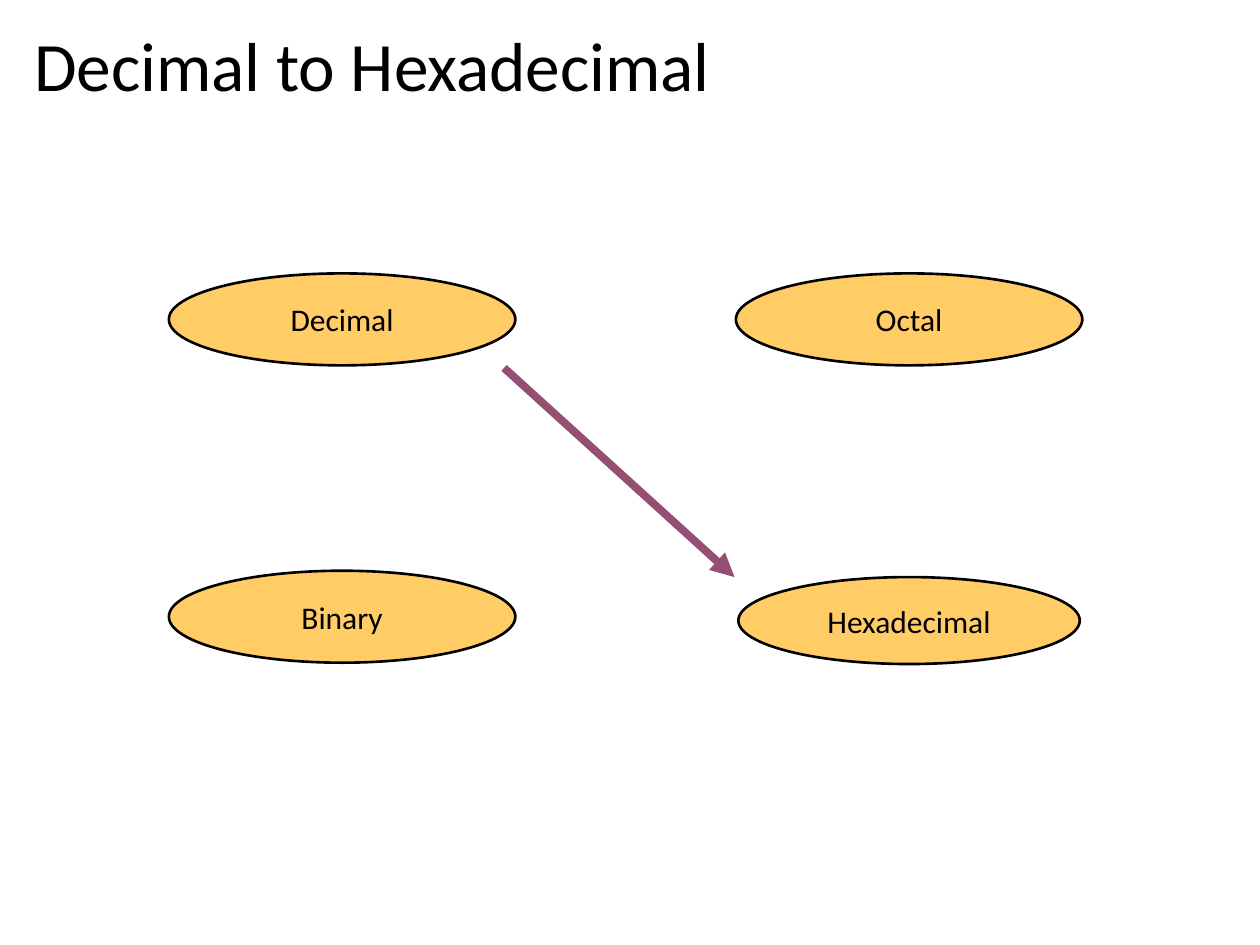
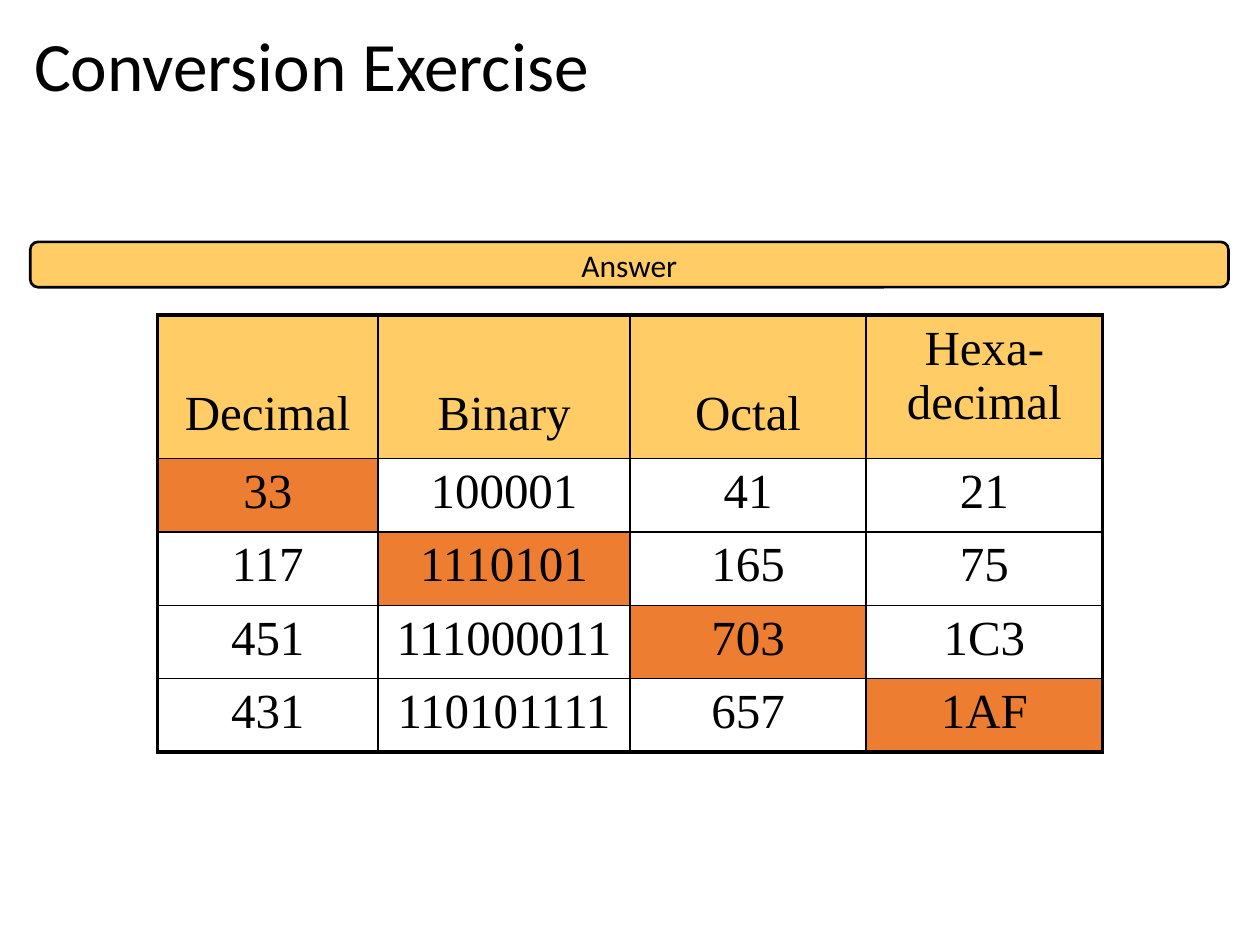
import pptx
import pptx.util
import pptx.dml.color
import pptx.enum.shapes
import pptx.enum.text
import pptx.oxml.ns
import lxml.etree

Inches = pptx.util.Inches
Pt = pptx.util.Pt
SHAPE = pptx.enum.shapes.MSO_SHAPE
ALIGN = pptx.enum.text.PP_ALIGN
ANCHOR = pptx.enum.text.MSO_ANCHOR
COLORS = {"ink": "000000", "gold": "FFCC66", "mark": "ED7D31", "arrow": "954F72"}
TITLE = (0.17, 0.18, 9.62, 0.74)
ROWS = [
    ["Decimal", "Binary", "Octal", "Hexa-\vdecimal"],
    ["33", "100001", "41", "21"],
    ["117", "1110101", "165", "75"],
    ["451", "111000011", "703", "1C3"],
    ["431", "110101111", "657", "1AF"],
]


def color(name):
    """Return the named colour."""
    return pptx.dml.color.RGBColor.from_string(COLORS[name])


def node(parent, tag, **attrs):
    """Append a DrawingML element."""
    return lxml.etree.SubElement(parent, pptx.oxml.ns.qn(tag), **attrs)


def style(para, size, face="Calibri", align=ALIGN.CENTER):
    """Set the font and alignment of a paragraph."""
    para.alignment = align
    para.font.size = Pt(size)
    para.font.name = face
    para.font.color.rgb = color("ink")


def start(deck, text):
    """Add a slide with a title."""
    slide = deck.slides.add_slide(deck.slide_layouts[5])
    title = slide.shapes.title
    title.left, title.top, title.width, title.height = map(Inches, TITLE)
    frame = title.text_frame
    frame.text = text
    frame.auto_size = pptx.enum.text.MSO_AUTO_SIZE.NONE
    frame.vertical_anchor = ANCHOR.MIDDLE
    para = frame.paragraphs[0]
    style(para, 39.6, align=ALIGN.LEFT)
    para.line_spacing = 0.9
    return slide


def label(slide, kind, box, text):
    """Add a gold outlined shape with centred text."""
    shape = slide.shapes.add_shape(kind, *map(Inches, box))
    shape.shadow.inherit = False
    shape.fill.solid()
    shape.fill.fore_color.rgb = color("gold")
    shape.line.color.rgb = color("ink")
    shape.line.width = Pt(1.5)
    frame = shape.text_frame
    frame.text = text
    frame.word_wrap = False
    frame.margin_top = frame.margin_bottom = 0
    frame.vertical_anchor = ANCHOR.MIDDLE
    style(frame.paragraphs[0], 18)
    return shape


def arrow(slide, tail, head):
    """Draw a thick arrow between two points."""
    line = slide.shapes.add_connector(
        pptx.enum.shapes.MSO_CONNECTOR.STRAIGHT, *map(Inches, tail + head))
    line.line.color.rgb = color("arrow")
    line.line.width = Pt(4.5)
    node(line.line._get_or_add_ln(), "a:tailEnd", type="triangle")
    node(line._element.spPr, "a:effectLst")


def bases(slide, box):
    """Place the four number bases at the corners of a box."""
    left, top, width, height = box
    wide, high = 2.75, 0.73
    right, low = left + width - wide, top + height - high
    spots = [
        ("Hexadecimal", right + 0.02, low + 0.05, wide - 0.04, high - 0.04),
        ("Decimal", left, top, wide, high),
        ("Octal", right, top, wide, high),
        ("Binary", left, low, wide, high),
    ]
    for text, *spot in spots:
        label(slide, SHAPE.OVAL, spot, text)
    arrow(slide, (left + 2.66, top + 0.75), (right - 0.01, low + 0.05))


def border(cell, sides):
    """Draw the cell sides at the given widths."""
    props = cell._tc.get_or_add_tcPr()
    for side, width in sides.items():
        line = node(props, f"a:ln{side}", w=str(Pt(width)))
        node(node(line, "a:solidFill"), "a:srgbClr", val=COLORS["ink"])


def answers(slide, box):
    """Add the table of answers, its given values marked."""
    rows, cols = len(ROWS), len(ROWS[0])
    table = slide.shapes.add_table(rows, cols, *map(Inches, box)).table
    for col, width in zip(table.columns, (1.75, 2, 1.875, 1.875)):
        col.width = Inches(width)
    head = 1.14
    for r, row in enumerate(table.rows):
        row.height = Inches((box[3] - head) / (rows - 1) if r else head)
        for c, cell in enumerate(row.cells):
            border(cell, {
                "L": 1 if c else 2.25,
                "R": 1 if c < cols - 1 else 2.25,
                "T": 1 if r else 2.25,
                "B": 1 if r < rows - 1 else 2.25,
            })
            fill = "gold" if r == 0 else "mark" if r == c + 1 else None
            if fill:
                cell.fill.solid()
                cell.fill.fore_color.rgb = color(fill)
            else:
                cell.fill.background()
            cell.text = ROWS[r][c]
            if r == 0 and c < cols - 1:
                cell.vertical_anchor = ANCHOR.BOTTOM
                cell.margin_bottom = Inches(0.14)
            style(cell.text_frame.paragraphs[0], 28, "Times New Roman")


def main():
    """Build and save the deck."""
    deck = pptx.Presentation()
    deck.slide_width, deck.slide_height = Inches(10), Inches(7.5)
    bases(start(deck, "Decimal to Hexadecimal"), (1.34, 2.17, 7.25, 3.09))
    slide = start(deck, "Conversion Exercise")
    answers(slide, (1.25, 2.5, 7.5, 3.47))
    band = label(slide, SHAPE.ROUNDED_RECTANGLE, (0.24, 1.92, 9.51, 0.36), "Answer")
    band.adjustments[0] = 0.17
    deck.save("out.pptx")


if __name__ == "__main__":
    main()
